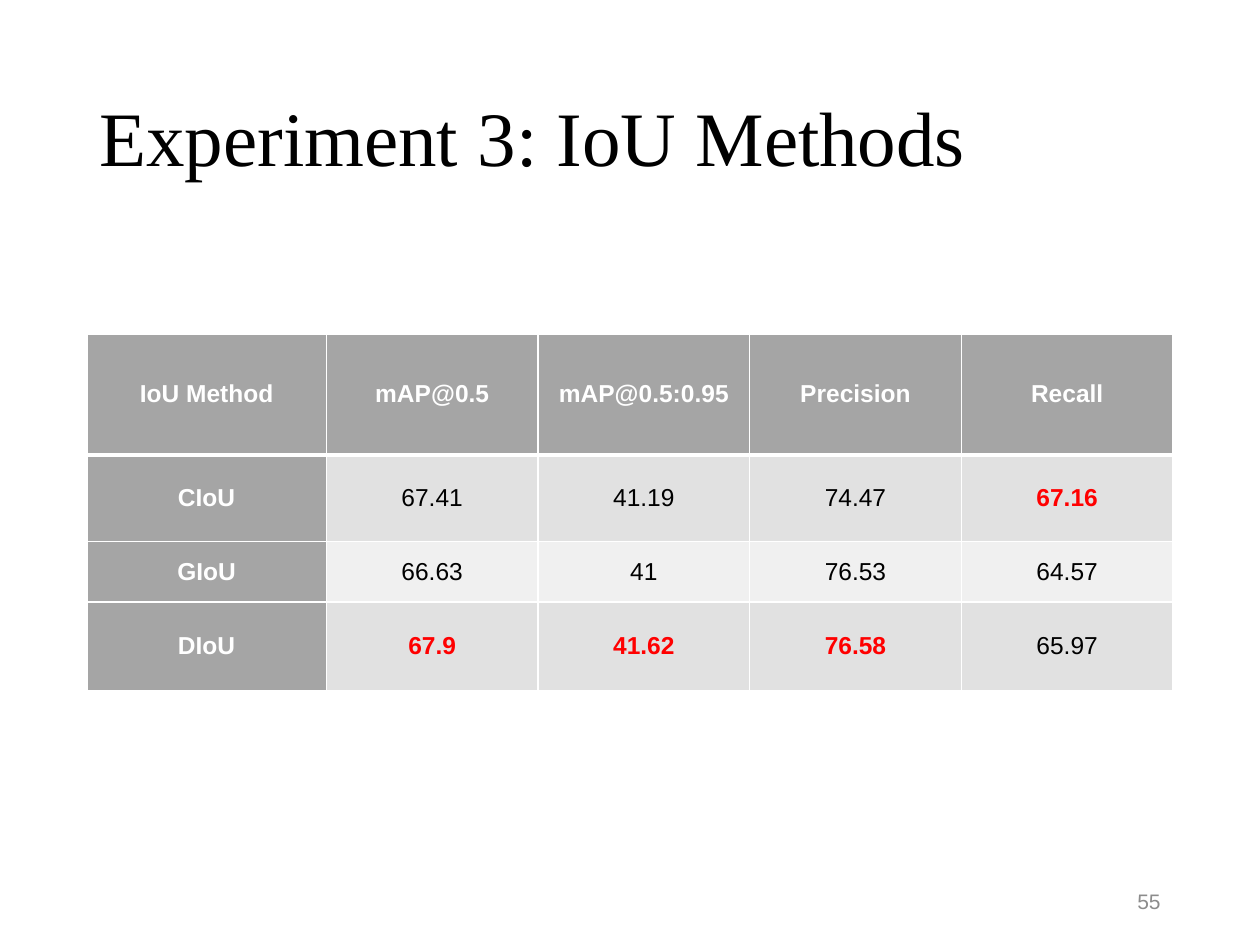
from dataclasses import dataclass

import lxml.etree
import pptx
import pptx.dml.color
import pptx.enum.text
import pptx.oxml.ns
import pptx.util

RGBColor = pptx.dml.color.RGBColor
Align = pptx.enum.text.PP_ALIGN
Middle = pptx.enum.text.MSO_ANCHOR.MIDDLE
Inches = pptx.util.Inches
Pt = pptx.util.Pt

BLACK = RGBColor(0x00, 0x00, 0x00)
WHITE = RGBColor(0xFF, 0xFF, 0xFF)
RED = RGBColor(0xFF, 0x00, 0x00)
HEADER_GRAY = RGBColor(0xA5, 0xA5, 0xA5)
BAND_DARK = RGBColor(0xE1, 0xE1, 0xE1)
BAND_LIGHT = RGBColor(0xF0, 0xF0, 0xF0)
NUMBER_GRAY = RGBColor(0x8C, 0x8C, 0x8C)

SLIDE_WIDTH, SLIDE_HEIGHT = 10, 7.5
MARGIN = 0.69
CONTENT_WIDTH = SLIDE_WIDTH - 2 * MARGIN
METRIC_WIDTH = 1.68
ROW_HEIGHTS = (0.96, 0.69, 0.48, 0.7)

HEADINGS = ("IoU Method", "mAP@0.5", "mAP@0.5:0.95", "Precision", "Recall")


@dataclass(frozen=True)
class MethodResult:
    method: str
    scores: tuple[float, ...]


RESULTS = (
    MethodResult("CIoU", (67.41, 41.19, 74.47, 67.16)),
    MethodResult("GIoU", (66.63, 41, 76.53, 64.57)),
    MethodResult("DIoU", (67.9, 41.62, 76.58, 65.97)),
)


@dataclass(frozen=True)
class TextStyle:
    size: float
    color: RGBColor
    font: str = "Arial"
    bold: bool = False
    align: Align = Align.LEFT


HEADER = TextStyle(14, WHITE, bold=True, align=Align.CENTER)
SCORE = TextStyle(14, BLACK, align=Align.CENTER)
BEST_SCORE = TextStyle(14, RED, bold=True, align=Align.CENTER)


def write(text_frame, text: str, style: TextStyle) -> None:
    text_frame.text = text
    paragraph = text_frame.paragraphs[0]
    paragraph.alignment = style.align
    font = paragraph.runs[0].font
    font.size = Pt(style.size)
    font.name = style.font
    font.bold = style.bold
    font.color.rgb = style.color


def add_text(slide, left: float, top: float, width: float, height: float,
             text: str, style: TextStyle):
    box = slide.shapes.add_textbox(Inches(left), Inches(top), Inches(width), Inches(height))
    box.text_frame.word_wrap = True
    box.text_frame.vertical_anchor = Middle
    write(box.text_frame, text, style)
    return box


def add_borders(cell, top: float = 1, bottom: float = 1) -> None:
    """Draw white borders, widths in points; call before the cell gets its fill."""
    properties = cell._tc.get_or_add_tcPr()
    for side, width in (("L", 1), ("R", 1), ("T", top), ("B", bottom)):
        line = lxml.etree.SubElement(properties, pptx.oxml.ns.qn(f"a:ln{side}"), w=str(Pt(width)))
        fill = lxml.etree.SubElement(line, pptx.oxml.ns.qn("a:solidFill"))
        lxml.etree.SubElement(fill, pptx.oxml.ns.qn("a:srgbClr"), val=str(WHITE))


def fill_cell(cell, text: str, style: TextStyle, background: RGBColor,
              top: float = 1, bottom: float = 1) -> None:
    add_borders(cell, top, bottom)
    cell.fill.solid()
    cell.fill.fore_color.rgb = background
    cell.vertical_anchor = Middle
    cell.margin_left = cell.margin_right = Inches(0.07)
    cell.margin_top = cell.margin_bottom = 0
    write(cell.text_frame, text, style)


def add_results_table(slide) -> None:
    """Compare the methods, with the best score of each metric in red."""
    table = slide.shapes.add_table(
        len(ROW_HEIGHTS), len(HEADINGS), Inches(MARGIN), Inches(2.65),
        Inches(CONTENT_WIDTH), Inches(sum(ROW_HEIGHTS))).table
    metric_count = len(HEADINGS) - 1
    method_width = CONTENT_WIDTH - metric_count * METRIC_WIDTH
    for column, width in zip(table.columns, [method_width] + [METRIC_WIDTH] * metric_count):
        column.width = Inches(width)
    for row, height in zip(table.rows, ROW_HEIGHTS):
        row.height = Inches(height)

    for column, heading in enumerate(HEADINGS):
        fill_cell(table.cell(0, column), heading, HEADER, HEADER_GRAY, bottom=3)

    best_scores = [max(scores) for scores in zip(*(result.scores for result in RESULTS))]
    for row, result in enumerate(RESULTS, start=1):
        top = 3 if row == 1 else 1
        band = BAND_DARK if row % 2 else BAND_LIGHT
        fill_cell(table.cell(row, 0), result.method, HEADER, HEADER_GRAY, top)
        for column, (score, best) in enumerate(zip(result.scores, best_scores), start=1):
            style = BEST_SCORE if score == best else SCORE
            fill_cell(table.cell(row, column), str(score), style, band, top)


def main() -> None:
    presentation = pptx.Presentation()
    presentation.slide_width = Inches(SLIDE_WIDTH)
    presentation.slide_height = Inches(SLIDE_HEIGHT)
    slide = presentation.slides.add_slide(presentation.slide_layouts[6])

    title = add_text(slide, MARGIN, 0.4, CONTENT_WIDTH, 1.45, "Experiment 3: IoU Methods",
                     TextStyle(44, BLACK, font="Times New Roman"))
    title.text_frame.paragraphs[0].line_spacing = 0.9

    add_results_table(slide)

    number_width = 2.25
    add_text(slide, SLIDE_WIDTH - MARGIN - number_width, 6.95, number_width, 0.4, "55",
             TextStyle(12, NUMBER_GRAY, align=Align.RIGHT))
    presentation.save("out.pptx")


if __name__ == "__main__":
    main()
